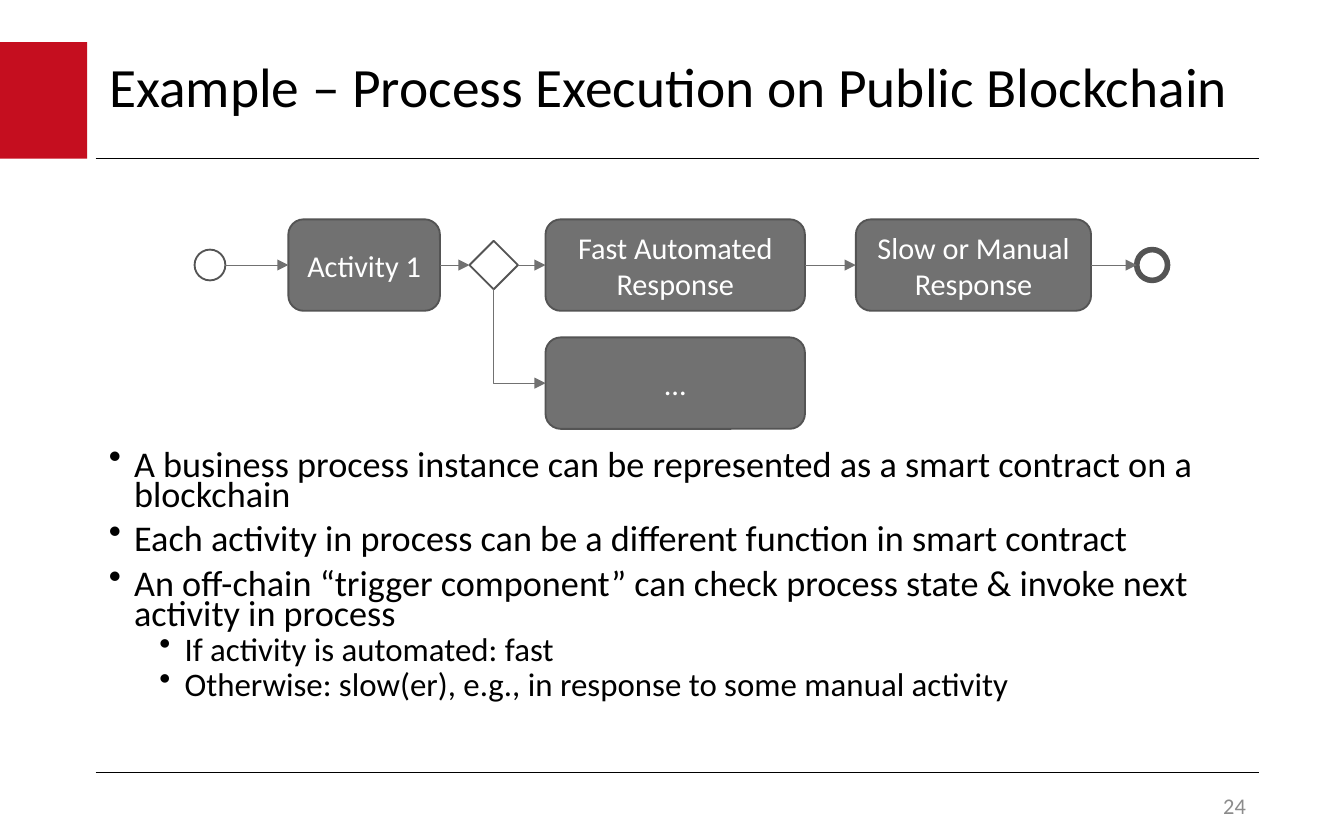
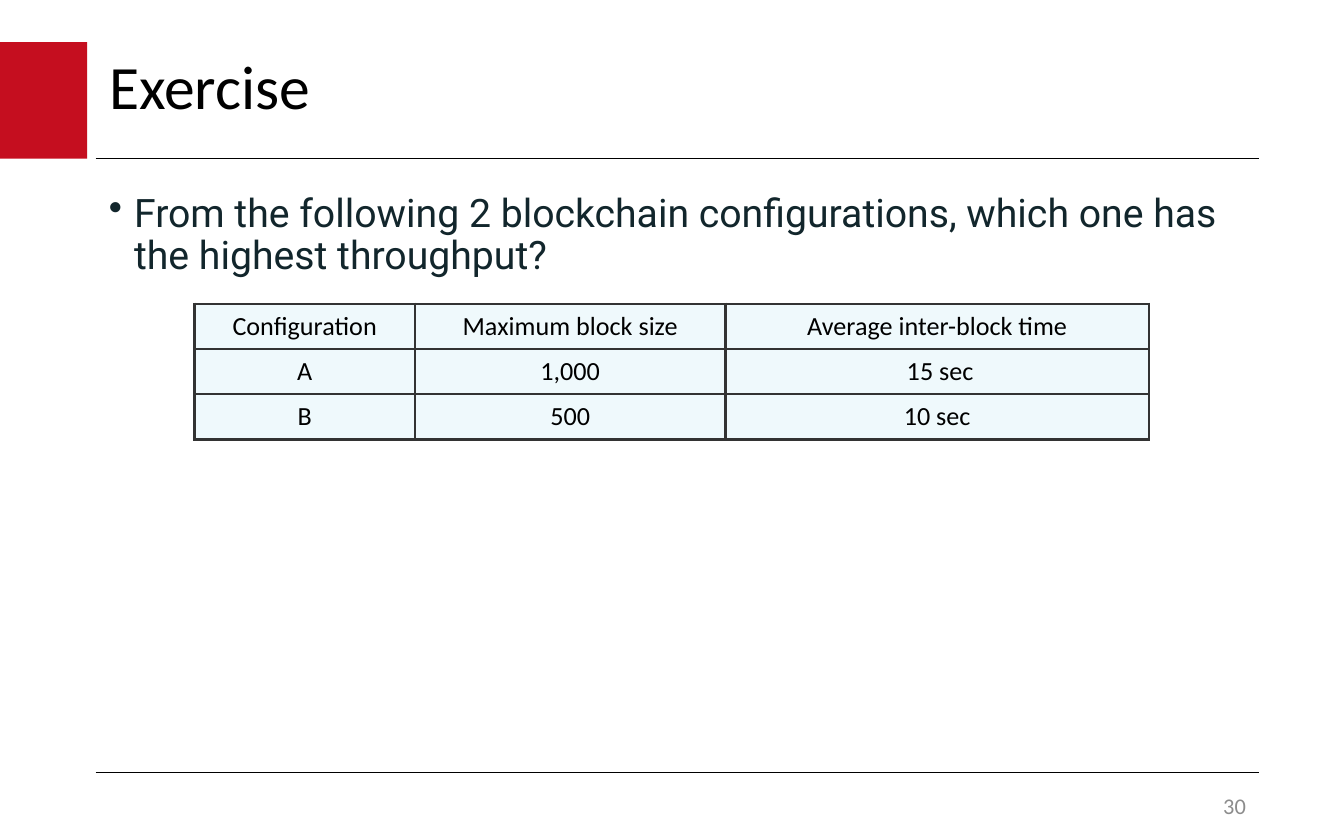
"""Build two lecture slides on blockchain process execution and throughput."""
import lxml.etree
import pptx
import pptx.dml.color
import pptx.enum.shapes
import pptx.enum.text
import pptx.oxml.ns
import pptx.util

Pt = pptx.util.Pt
RGBColor = pptx.dml.color.RGBColor
SHAPES = pptx.enum.shapes.MSO_SHAPE
CONNECTORS = pptx.enum.shapes.MSO_CONNECTOR
ALIGN = pptx.enum.text.PP_ALIGN
ANCHOR = pptx.enum.text.MSO_ANCHOR
qn = pptx.oxml.ns.qn

RED = RGBColor(0xC5, 0x0E, 0x1F)
BLACK = RGBColor(0, 0, 0)
WHITE = RGBColor(0xFF, 0xFF, 0xFF)
INK = RGBColor(0x12, 0x26, 0x2C)
PAGE_GREY = RGBColor(0x8C, 0x8C, 0x8C)
NODE_GREY = RGBColor(0x71, 0x71, 0x71)
OUTLINE_GREY = RGBColor(0x54, 0x54, 0x54)
TABLE_FILL = RGBColor(0xEF, 0xF9, 0xFC)
TABLE_BORDER = RGBColor(0x33, 0x33, 0x33)

FONT = "Calibri"
CONTENT_LEFT, CONTENT_RIGHT = 51.25, 674.5
CONTENT_WIDTH = CONTENT_RIGHT - CONTENT_LEFT
BAND_TOP, BAND_BOTTOM, FOOTER_RULE = 22.5, 85, 414
FLOW_AXIS, BRANCH_AXIS = 142, 205.25
ACTIVITY_HEIGHT, GATEWAY_SIZE, EVENT_SIZE = 49, 26, 16.5


def set_font(paragraph, size, color, name=FONT):
    """Set the font of a whole paragraph."""
    paragraph.font.size = Pt(size)
    paragraph.font.name = name
    paragraph.font.color.rgb = color


def add_shape(slide, kind, left, top, width, height, fill, outline=None, weight=1):
    """Add a flat preset shape with an optional outline."""
    shape = slide.shapes.add_shape(kind, Pt(left), Pt(top), Pt(width), Pt(height))
    shape.shadow.inherit = False
    shape.fill.solid()
    shape.fill.fore_color.rgb = fill
    if outline is None:
        shape.line.fill.background()
    else:
        shape.line.color.rgb = outline
        shape.line.width = Pt(weight)
    return shape


def add_line(slide, start, end, color, weight, kind=CONNECTORS.STRAIGHT):
    """Add a connector without a shadow between two points."""
    line = slide.shapes.add_connector(kind, *start, *end)
    line.line.color.rgb = color
    line.line.width = Pt(weight)
    lxml.etree.SubElement(line.element.spPr, qn("a:effectLst"))
    return line


def add_arrow(slide, start, end, kind=CONNECTORS.STRAIGHT):
    """Add a thin grey arrow."""
    arrow = add_line(slide, start, end, NODE_GREY, 0.5, kind)
    outline = arrow.element.spPr.find(qn("a:ln"))
    lxml.etree.SubElement(outline, qn("a:tailEnd"), type="triangle")
    return arrow


def add_flow(slide, source, target):
    """Join the right side of one node to the left side of the next."""
    axis = Pt(FLOW_AXIS)
    add_arrow(slide, (source.left + source.width, axis), (target.left, axis))


def add_branch(slide, source, target):
    """Join the bottom of a node to the left of a lower one, down then right."""
    start_x, start_y = source.left + source.width // 2, source.top + source.height
    end_x, end_y = target.left, target.top + target.height // 2
    middle_x, middle_y = (start_x + end_x) // 2, (start_y + end_y) // 2
    half_run, half_drop = (end_x - start_x) // 2, (end_y - start_y) // 2
    arrow = add_arrow(slide, (middle_x - half_drop, middle_y - half_run),
                      (middle_x + half_drop, middle_y + half_run), CONNECTORS.ELBOW)
    properties = arrow.element.spPr
    properties.find(qn("a:prstGeom")).set("prst", "bentConnector2")
    transform = properties.find(qn("a:xfrm"))
    transform.set("rot", str(270 * 60000))
    transform.set("flipH", "1")


def add_activity(slide, text, left, width, axis=FLOW_AXIS):
    """Add a rounded activity centred on an axis."""
    shape = add_shape(slide, SHAPES.ROUNDED_RECTANGLE, left, axis - ACTIVITY_HEIGHT / 2,
                      width, ACTIVITY_HEIGHT, NODE_GREY, OUTLINE_GREY)
    shape.text_frame.text = text
    shape.text_frame.vertical_anchor = ANCHOR.MIDDLE
    paragraph = shape.text_frame.paragraphs[0]
    paragraph.alignment = ALIGN.CENTER
    set_font(paragraph, 16.2, WHITE)
    return shape


def add_marker(slide, kind, left, size, weight=1):
    """Add a white event or gateway on the main axis."""
    return add_shape(slide, kind, left, FLOW_AXIS - size / 2, size, size,
                     WHITE, OUTLINE_GREY, weight)


def add_text_box(slide, left, top, width, height):
    """Add a wrapping text box and return its text frame."""
    box = slide.shapes.add_textbox(Pt(left), Pt(top), Pt(width), Pt(height))
    box.text_frame.word_wrap = True
    return box.text_frame


def add_bullets(slide, top, height, items, color, spacing, name=FONT):
    """Add bullets from (level, size, text) items."""
    frame = add_text_box(slide, CONTENT_LEFT, top, CONTENT_WIDTH, height)
    for index, (level, size, text) in enumerate(items):
        paragraph = frame.paragraphs[0] if index == 0 else frame.add_paragraph()
        paragraph.text = text
        paragraph.level = level
        paragraph.line_spacing = spacing
        if index:
            paragraph.space_before = Pt(3.75 if level else 7.5)
        properties = paragraph._p.get_or_add_pPr()
        properties.set("marL", str(Pt(13.5 + 27 * level)))
        properties.set("indent", str(Pt(-13.5)))
        lxml.etree.SubElement(properties, qn("a:buChar"), char="•")
        set_font(paragraph, size, color, name)


def add_slide(presentation, title, title_size, title_width, number):
    """Add a slide with the shared band, rules, title and number."""
    slide = presentation.slides.add_slide(presentation.slide_layouts[5])
    add_shape(slide, SHAPES.RECTANGLE, 0, BAND_TOP, 46.75, BAND_BOTTOM - BAND_TOP, RED)
    for rule in (BAND_BOTTOM, FOOTER_RULE):
        add_line(slide, (Pt(CONTENT_LEFT), Pt(rule)), (Pt(CONTENT_RIGHT), Pt(rule)), BLACK, 0.75)

    heading = slide.shapes.title
    heading.left, heading.top = Pt(CONTENT_LEFT), Pt(BAND_TOP)
    heading.width, heading.height = Pt(title_width), Pt(51)
    frame = heading.text_frame
    frame.text = title
    frame.auto_size = pptx.enum.text.MSO_AUTO_SIZE.NONE
    frame.vertical_anchor = ANCHOR.MIDDLE
    paragraph = frame.paragraphs[0]
    paragraph.alignment = ALIGN.LEFT
    paragraph.line_spacing = 0.9
    set_font(paragraph, title_size, BLACK)

    footer = add_text_box(slide, 528.5, 422.5, 146, 18)
    footer.text = number
    footer.vertical_anchor = ANCHOR.MIDDLE
    footer.paragraphs[0].alignment = ALIGN.RIGHT
    set_font(footer.paragraphs[0], 12, PAGE_GREY)
    return slide


def style_cell(cell, text):
    """Fill, border and centre one table cell."""
    cell.text = text
    cell.vertical_anchor = ANCHOR.MIDDLE
    paragraph = cell.text_frame.paragraphs[0]
    paragraph.alignment = ALIGN.CENTER
    set_font(paragraph, 14, BLACK)
    properties = cell._tc.get_or_add_tcPr()
    for side in ("a:lnL", "a:lnR", "a:lnT", "a:lnB"):
        border = lxml.etree.SubElement(properties, qn(side), w=str(Pt(1.5)))
        fill = lxml.etree.SubElement(border, qn("a:solidFill"))
        lxml.etree.SubElement(fill, qn("a:srgbClr"), val=str(TABLE_BORDER))
    cell.fill.solid()
    cell.fill.fore_color.rgb = TABLE_FILL


def add_table(slide, left, top, widths, row_height, rows):
    """Add a bordered table with equal row heights."""
    frame = slide.shapes.add_table(len(rows), len(widths), Pt(left), Pt(top),
                                   Pt(sum(widths)), Pt(row_height * len(rows)))
    table = frame.table
    table.first_row = table.horz_banding = False
    for column, width in zip(table.columns, widths):
        column.width = Pt(width)
    for row, texts in zip(table.rows, rows):
        row.height = Pt(row_height)
        for cell, text in zip(row.cells, texts):
            style_cell(cell, text)


def build_process_slide(presentation):
    """Build the process diagram and its explanation."""
    slide = add_slide(presentation, "Example – Process Execution on Public Blockchain",
                      29.7, CONTENT_WIDTH, "24")
    add_bullets(slide, 239, 152.5, [
        (0, 19.4, "A business process instance can be represented as a smart contract on a blockchain"),
        (0, 19.4, "Each activity in process can be a different function in smart contract"),
        (0, 19.4, "An off-chain “trigger component” can check process state & invoke next activity in process"),
        (1, 17.6, "If activity is automated: fast"),
        (1, 17.6, "Otherwise: slow(er), e.g., in response to some manual activity"),
    ], BLACK, 0.7)

    start = add_marker(slide, SHAPES.OVAL, 104.25, EVENT_SIZE)
    first = add_activity(slide, "Activity 1", 154.5, 81.25)
    gateway = add_marker(slide, SHAPES.DIAMOND, 251.5, GATEWAY_SIZE)
    fast = add_activity(slide, "Fast Automated Response", 292.25, 139)
    other = add_activity(slide, "…", 292.25, 139, BRANCH_AXIS)
    slow = add_activity(slide, "Slow or Manual Response", 458.5, 126)
    end = add_marker(slide, SHAPES.OVAL, 609, EVENT_SIZE, 3)

    steps = [start, first, gateway, fast, slow, end]
    for source, target in zip(steps, steps[1:]):
        add_flow(slide, source, target)
    add_branch(slide, gateway, other)


def build_exercise_slide(presentation):
    """Build the throughput question and its table."""
    slide = add_slide(presentation, "Exercise", 33, 522, "30")
    question = "From the following 2 blockchain configurations, which one has the highest throughput?"
    add_bullets(slide, 100, 291, [(0, 21, question)], INK, 0.9, "Roboto")
    add_table(slide, 104.25, 162.75, [118, 166.5, 226.75], 24.25, [
        ["Configuration", "Maximum block size", "Average inter-block time"],
        ["A", "1,000", " 15 sec"],
        ["B", "500", "10 sec"],
    ])


def main():
    """Create and save the presentation."""
    presentation = pptx.Presentation()
    presentation.slide_width, presentation.slide_height = Pt(720), Pt(450)
    build_process_slide(presentation)
    build_exercise_slide(presentation)
    presentation.save("out.pptx")


if __name__ == "__main__":
    main()
